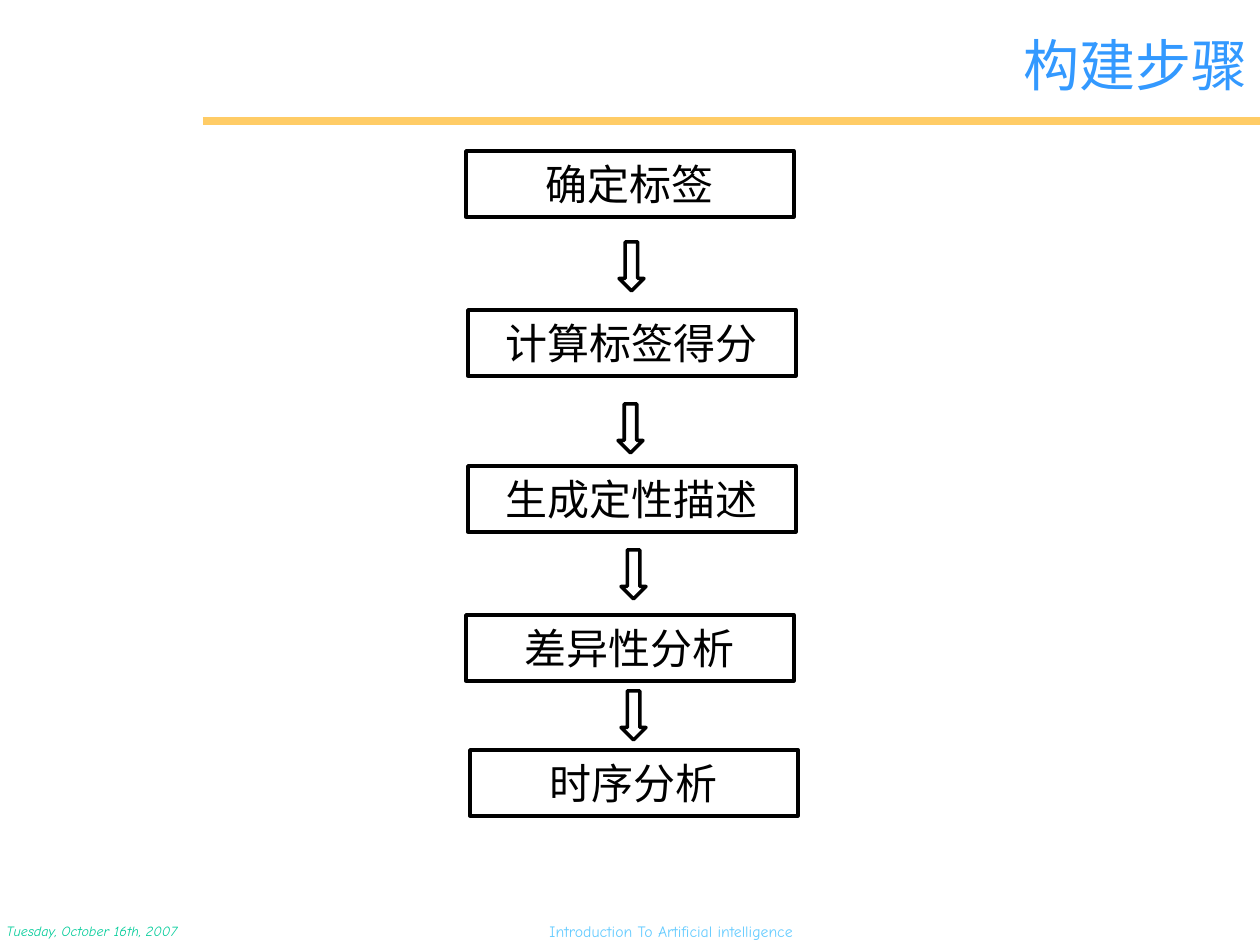
from dataclasses import dataclass

import lxml.etree
import pptx
import pptx.dml.color
import pptx.enum.shapes
import pptx.enum.text
import pptx.oxml.ns
import pptx.util

RGBColor = pptx.dml.color.RGBColor
PP_ALIGN = pptx.enum.text.PP_ALIGN
MSO_ANCHOR = pptx.enum.text.MSO_ANCHOR
MSO_SHAPE = pptx.enum.shapes.MSO_SHAPE

EMU_PER_PX = 914400 / 126

WHITE = RGBColor(0xFF, 0xFF, 0xFF)
BLACK = RGBColor(0x00, 0x00, 0x00)
TITLE_BLUE = RGBColor(0x33, 0x99, 0xFF)
RULE_YELLOW = RGBColor(0xFF, 0xCC, 0x66)
DATE_GREEN = RGBColor(0x00, 0xCC, 0x99)
FOOTER_BLUE = RGBColor(0x66, 0xCC, 0xFF)

TITLE_FONT = {"name": "Montserrat", "size": pptx.util.Pt(32)}
STEP_FONT = {"name": "Arial", "size": pptx.util.Pt(24)}
DATE_FONT = {"name": "Comic Neue", "size": pptx.util.Pt(8), "italic": True}
FOOTER_FONT = {"name": "Comic Neue", "size": pptx.util.Pt(9)}

STEP_W, STEP_H = 328, 66
ARROW_LENGTH, ARROW_WIDTH = 49, 25


@dataclass
class Step:
    text: str
    left: int
    top: int


@dataclass
class Arrow:
    center_x: int
    center_y: int


@dataclass
class FooterText:
    text: str
    box: tuple[int, int, int, int]
    align: PP_ALIGN
    font: dict
    color: RGBColor


STEPS = [
    Step("确定标签", 466, 151),
    Step("计算标签得分", 468, 310),
    Step("生成定性描述", 468, 466),
    Step("差异性分析", 466, 615),
    Step("时序分析", 470, 750),
]
ARROWS = [Arrow(631, 266), Arrow(630, 428), Arrow(633, 574), Arrow(633, 715)]
FOOTERS = [
    FooterText("Tuesday, October 16th, 2007", (-6, 916, 302, 30),
               PP_ALIGN.LEFT, DATE_FONT, DATE_GREEN),
    FooterText("Introduction To Artificial intelligence", (392, 916, 558, 32),
               PP_ALIGN.CENTER, FOOTER_FONT, FOOTER_BLUE),
]


def px(*values: int) -> list[pptx.util.Emu]:
    return [pptx.util.Emu(round(v * EMU_PER_PX)) for v in values]


def write(sp, text: str, align: PP_ALIGN, font: dict, color: RGBColor,
          anchor: MSO_ANCHOR) -> None:
    tf = sp.text_frame
    frame_format = {"word_wrap": True, "vertical_anchor": anchor,
                    "auto_size": pptx.enum.text.MSO_AUTO_SIZE.NONE}
    for name, value in frame_format.items():
        setattr(tf, name, value)
    p = tf.paragraphs[0]
    p.alignment = align
    r = p.add_run()
    r.text = text
    for name, value in font.items():
        setattr(r.font, name, value)
    r.font.color.rgb = color


def add_outlined(slide, kind: MSO_SHAPE, left: int, top: int,
                 width: int, height: int):
    sp = slide.shapes.add_shape(kind, *px(left, top, width, height))
    sp.shadow.inherit = False
    sp.fill.solid()
    sp.fill.fore_color.rgb = WHITE
    sp.line.color.rgb = BLACK
    sp.line.width = pptx.util.Pt(2)
    return sp


def add_step(slide, step: Step) -> None:
    sp = add_outlined(slide, MSO_SHAPE.RECTANGLE, step.left, step.top,
                      STEP_W, STEP_H)
    write(sp, step.text, PP_ALIGN.CENTER, STEP_FONT, BLACK, MSO_ANCHOR.MIDDLE)


def add_arrow(slide, arrow: Arrow) -> None:
    sp = add_outlined(slide, MSO_SHAPE.RIGHT_ARROW,
                      arrow.center_x - ARROW_LENGTH // 2,
                      arrow.center_y - ARROW_WIDTH // 2,
                      ARROW_LENGTH, ARROW_WIDTH)
    sp.rotation = 90


def add_rule(slide) -> None:
    line = slide.shapes.add_connector(
        pptx.enum.shapes.MSO_CONNECTOR.STRAIGHT, *px(203, 121, 1260, 121))
    line.line.color.rgb = RULE_YELLOW
    line.line.width = pptx.util.Pt(4.5)
    lxml.etree.SubElement(line._element.spPr, pptx.oxml.ns.qn("a:effectLst"))


def add_footer(slide, footer: FooterText) -> None:
    sp = slide.shapes.add_textbox(*px(*footer.box))
    write(sp, footer.text, footer.align, footer.font, footer.color,
          MSO_ANCHOR.TOP)


def main() -> None:
    prs = pptx.Presentation()
    prs.slide_width, prs.slide_height = px(1260, 945)
    slide = prs.slides.add_slide(prs.slide_layouts[5])

    # Title
    title = slide.shapes.title
    title.left, title.top, title.width, title.height = px(243, 16, 1017, 96)
    write(title, "构建步骤", PP_ALIGN.RIGHT, TITLE_FONT, TITLE_BLUE,
          MSO_ANCHOR.MIDDLE)

    # Rule and footer
    add_rule(slide)
    for footer in FOOTERS:
        add_footer(slide, footer)

    # Flow of steps
    for step in STEPS:
        add_step(slide, step)
    for arrow in ARROWS:
        add_arrow(slide, arrow)

    prs.save("out.pptx")


if __name__ == "__main__":
    main()
